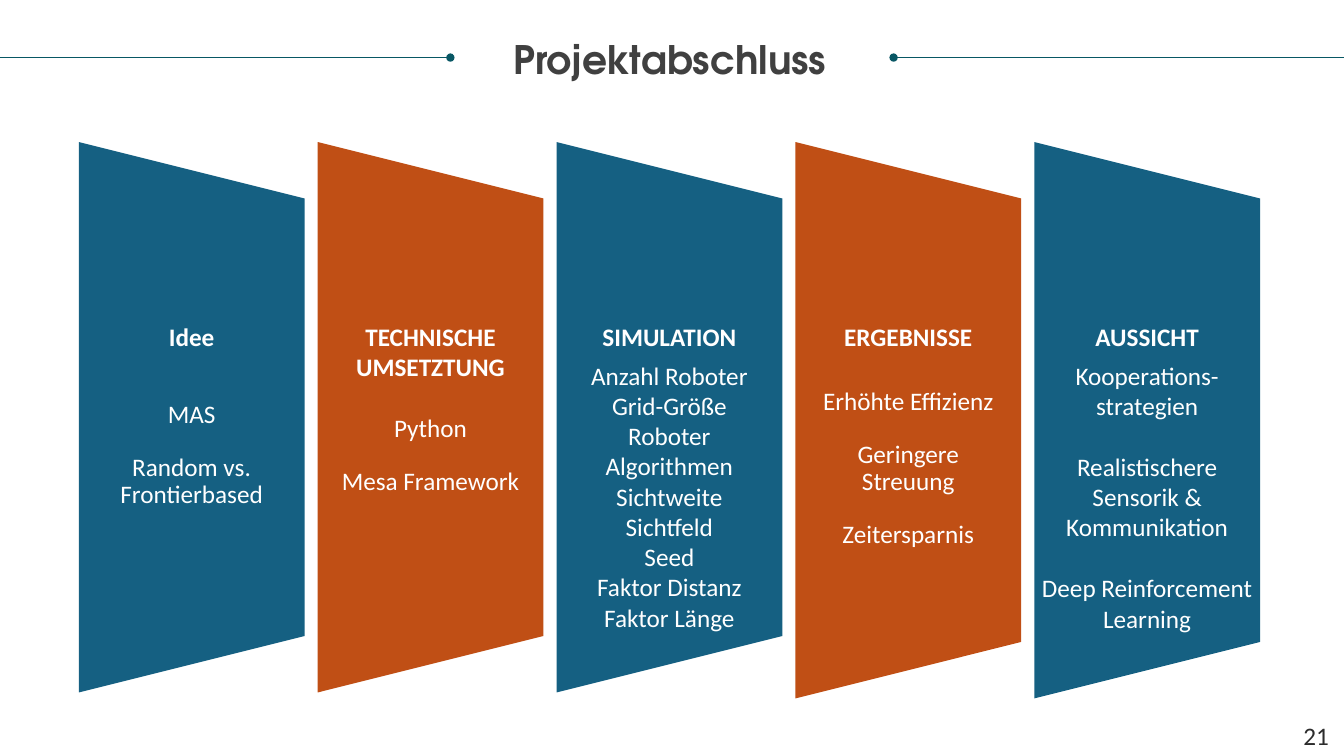
from dataclasses import dataclass

from lxml.etree import SubElement
from pptx import Presentation
from pptx.dml.color import RGBColor
from pptx.enum.shapes import MSO_CONNECTOR, MSO_SHAPE
from pptx.enum.text import MSO_ANCHOR, PP_ALIGN
from pptx.oxml.ns import qn
from pptx.util import Cm, Pt

TITLE = "Projektabschluss"
PAGE_NUMBER = "21"
# heading, body paragraphs, body style, body top (cm), body width (cm)
COLUMNS = [
    ("Idee", ["MAS", "Random vs. Frontierbased"], "spaced", 10.13, 4.88),
    ("TECHNISCHE UMSETZTUNG", ["Python", "Mesa Framework"], "spaced", 10.49, 4.88),
    ("SIMULATION",
     ["Anzahl Roboter", "Grid-Größe", "Roboter Algorithmen Sichtweite",
      "Sichtfeld", "Seed", "Faktor Distanz", "Faktor Länge"],
     "list", 9.07, 4.5),
    ("ERGEBNISSE", ["Erhöhte Effizienz", "Geringere Streuung", "Zeitersparnis"],
     "spaced", 9.8, 4.88),
    ("AUSSICHT",
     ["Kooperations-strategien", "Realistischere Sensorik & Kommunikation",
      "Deep Reinforcement Learning"],
     "blocks", 9.07, 5.36),
]
# style: (line spacing, space between paragraphs)
BODY_STYLES = {
    "spaced": (Pt(19), Pt(19)),
    "list": (1.0, Pt(0)),
    "blocks": (1.0, Pt(22)),
}


@dataclass(frozen=True)
class Theme:
    blue: RGBColor = RGBColor(0x15, 0x60, 0x82)
    orange: RGBColor = RGBColor(0xC0, 0x4F, 0x15)
    rule: RGBColor = RGBColor(0x08, 0x57, 0x64)
    title: RGBColor = RGBColor(0x40, 0x40, 0x40)
    number: RGBColor = RGBColor(0x2C, 0x2C, 0x2C)
    white: RGBColor = RGBColor(0xFF, 0xFF, 0xFF)
    title_font: str = "TeX Gyre Adventor"
    text_font: str = "Calibri"
    title_size: Pt = Pt(28)
    text_size: Pt = Pt(18)


THEME = Theme()
SLIDE_WIDTH, SLIDE_HEIGHT = 33.87, 19.05
FIRST_CENTER, COLUMN_PITCH = 4.83, 6.02
PANEL_TOP, PANEL_WIDTH = 3.58, 5.69
PANEL_HEIGHTS = [13.87, 13.87, 13.87, 14.02, 14.02]
HEADING_TOP, HEADING_WIDTH, LINE_HEIGHT = 8.1, 3.81, 0.77
RULE_Y, RULE_LENGTH = 1.45, 11.35


def place(shape, left, top, width, height):
    shape.left, shape.top = Cm(left), Cm(top)
    shape.width, shape.height = Cm(width), Cm(height)


def write(shape, lines, color, size=THEME.text_size, font=THEME.text_font,
          bold=False, line_spacing=1.0, gap=Pt(0)):
    """Fill a shape with centred, wrapped paragraphs without insets."""
    frame = shape.text_frame
    frame.word_wrap = True
    frame.margin_left = frame.margin_right = 0
    frame.margin_top = frame.margin_bottom = 0
    for index, line in enumerate(lines):
        paragraph = frame.add_paragraph() if index else frame.paragraphs[0]
        paragraph.text = line
        paragraph.alignment = PP_ALIGN.CENTER
        paragraph.line_spacing = line_spacing
        if index:
            paragraph.space_before = gap
        paragraph.font.name = font
        paragraph.font.size = size
        paragraph.font.bold = bold
        paragraph.font.color.rgb = color


def add_text(slide, left, top, width, height, lines, color, **style):
    box = slide.shapes.add_textbox(Cm(left), Cm(top), Cm(width), Cm(height))
    write(box, lines, color, **style)


def add_title(slide):
    title = slide.shapes.title
    place(title, 0.58, 1.02, 32.59, 1.07)
    title.text_frame.vertical_anchor = MSO_ANCHOR.TOP
    write(title, [TITLE], THEME.title, THEME.title_size, THEME.title_font,
          bold=True, line_spacing=0.9)


def add_rule(slide, start, end):
    """Draw a horizontal rule with a dot at its end."""
    rule = slide.shapes.add_connector(
        MSO_CONNECTOR.STRAIGHT, Cm(start), Cm(RULE_Y), Cm(end), Cm(RULE_Y))
    rule.line.color.rgb = THEME.rule
    rule.line.width = Pt(0.5)
    SubElement(rule.line._get_or_add_ln(), qn("a:tailEnd"), type="oval")
    SubElement(rule._element.spPr, qn("a:effectLst"))


def add_panel(slide, center, height, color):
    """Draw a trapezoid turned so that its short side faces right."""
    left = center - height / 2
    top = PANEL_TOP + (height - PANEL_WIDTH) / 2
    panel = slide.shapes.add_shape(
        MSO_SHAPE.TRAPEZOID, Cm(left), Cm(top), Cm(height), Cm(PANEL_WIDTH))
    panel.rotation = 90
    panel.shadow.inherit = False
    panel.fill.solid()
    panel.fill.fore_color.rgb = color
    panel.line.fill.background()


def add_column(slide, index, heading, body, style, body_top, body_width):
    center = FIRST_CENTER + index * COLUMN_PITCH
    color = THEME.orange if index % 2 else THEME.blue
    add_panel(slide, center, PANEL_HEIGHTS[index], color)
    add_text(slide, center - HEADING_WIDTH / 2, HEADING_TOP, HEADING_WIDTH,
             LINE_HEIGHT * len(heading.split()), [heading], THEME.white, bold=True)
    line_spacing, gap = BODY_STYLES[style]
    body_height = PANEL_TOP + 12.42 - body_top if style != "spaced" else 1.35 * len(body)
    add_text(slide, center - body_width / 2, body_top, body_width, body_height,
             body, THEME.white, line_spacing=line_spacing, gap=gap)


def main():
    presentation = Presentation()
    presentation.slide_width = Cm(SLIDE_WIDTH)
    presentation.slide_height = Cm(SLIDE_HEIGHT)
    slide = presentation.slides.add_slide(presentation.slide_layouts[5])
    add_title(slide)
    add_rule(slide, SLIDE_WIDTH, SLIDE_WIDTH - RULE_LENGTH)
    add_rule(slide, 0, RULE_LENGTH)
    for index, column in enumerate(COLUMNS):
        add_column(slide, index, *column)
    add_text(slide, 32.56, 18.16, 1.22, LINE_HEIGHT, [PAGE_NUMBER], THEME.number)
    presentation.save("out.pptx")


if __name__ == "__main__":
    main()
